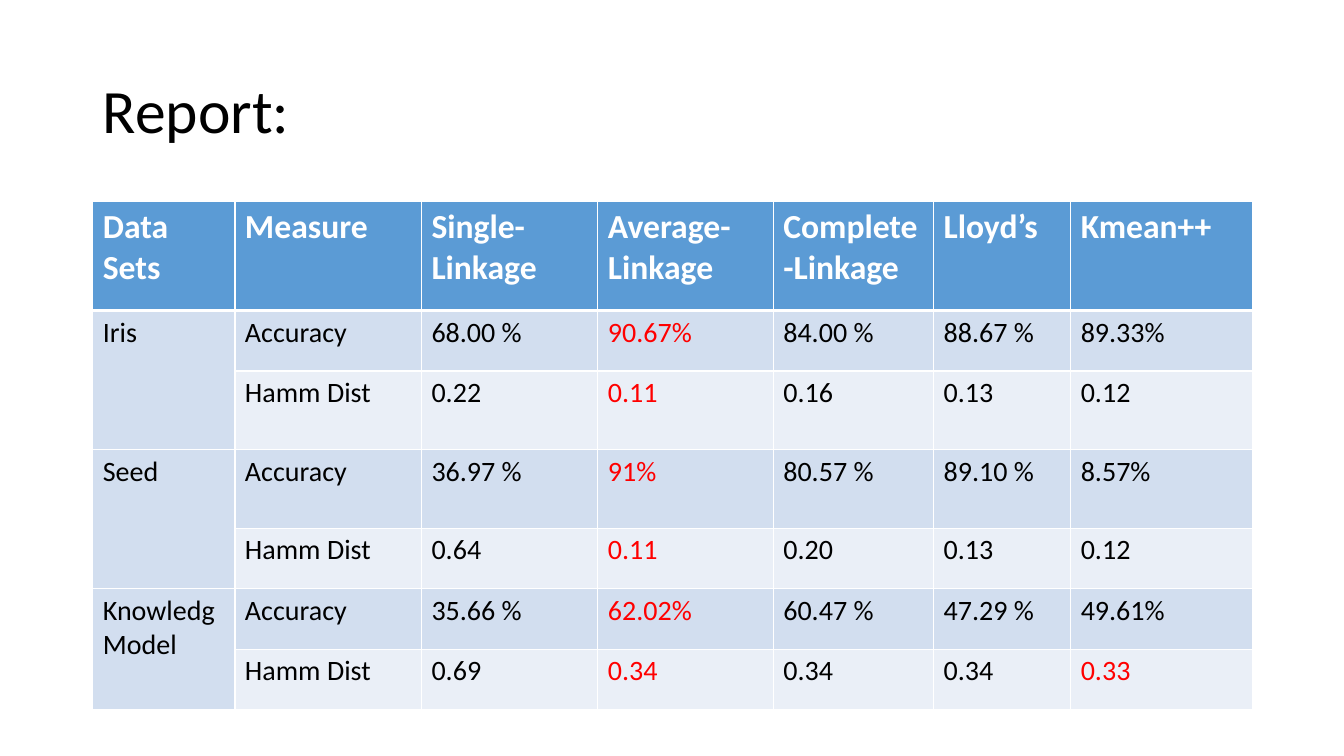
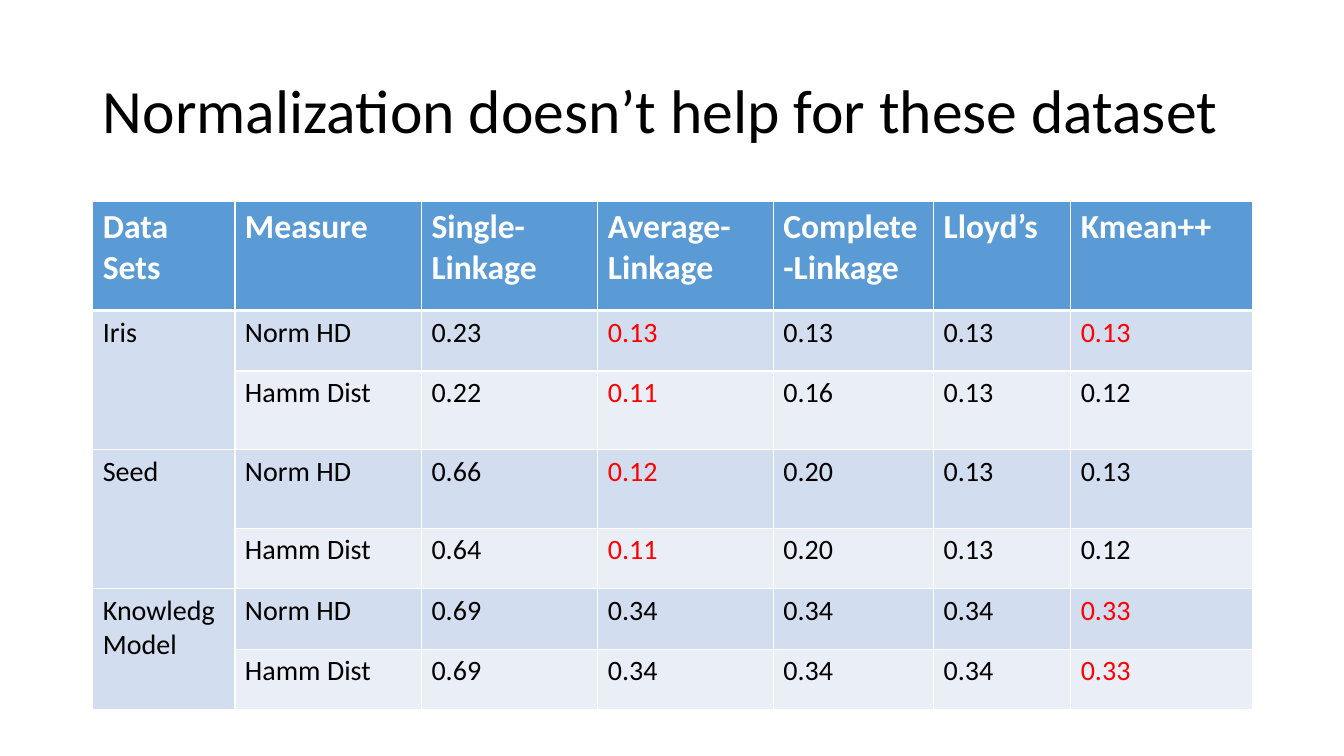
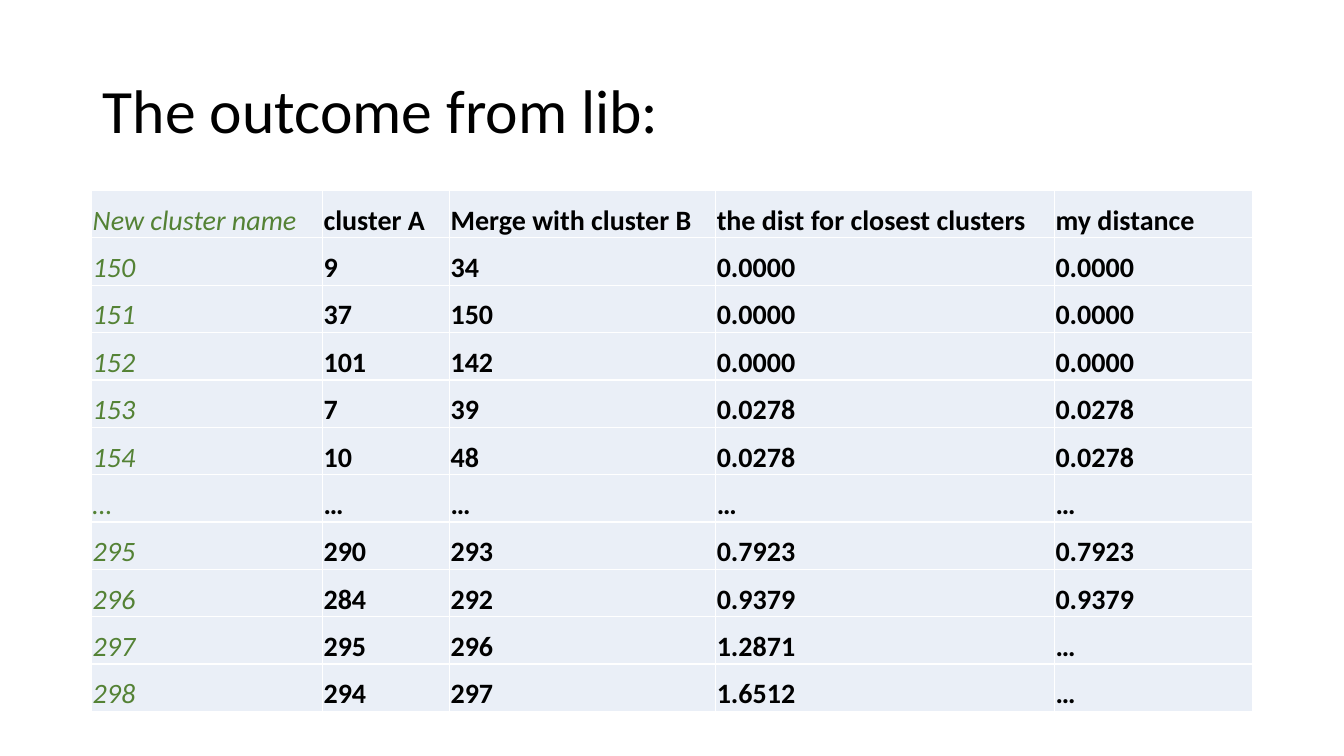
from dataclasses import dataclass

from lxml.etree import SubElement
from pptx import Presentation
from pptx.dml.color import RGBColor
from pptx.enum.text import MSO_ANCHOR as Anchor, MSO_AUTO_SIZE as AutoSize, PP_ALIGN as Align
from pptx.oxml.ns import qn
from pptx.util import Inches, Pt


@dataclass(frozen=True)
class Theme:
    font: str = "Calibri"
    title_size: int = 44
    header_size: int = 24
    body_size: int = 20
    black: str = "000000"
    white: str = "FFFFFF"
    best: str = "FF0000"
    index: str = "548235"
    header_fill: str = "5B9BD5"
    dark_band: str = "D2DEEF"
    light_band: str = "EAEFF7"


THEME = Theme()

# Content: each measure row is (name, values, columns of the best values)
METHODS = ["Data Sets", "Measure", "Single-Linkage", "Average-Linkage",
           "Complete-Linkage", "Lloyd’s", "Kmean++"]
DATA_SETS = ["Iris", "Seed", "Knowledg\nModel"]
HAMMING = [
    ("Hamm Dist", ["0.22", "0.11", "0.16", "0.13", "0.12"], {1}),
    ("Hamm Dist", ["0.64", "0.11", "0.20", "0.13", "0.12"], {1}),
    ("Hamm Dist", ["0.69", "0.34", "0.34", "0.34", "0.33"], {1, 4}),
]
ACCURACY = [
    ("Accuracy", ["68.00 %", "90.67%", "84.00 %", "88.67 %", "89.33%"], {1}),
    ("Accuracy", ["36.97 %", "91%", "80.57 %", "89.10 %", "8.57%"], {1}),
    ("Accuracy", ["35.66 %", "62.02%", "60.47 %", "47.29 %", "49.61%"], {1}),
]
NORMALIZED = [
    ("Norm HD", ["0.23", "0.13", "0.13", "0.13", "0.13"], {1, 4}),
    ("Norm HD", ["0.66", "0.12", "0.20", "0.13", "0.13"], {1}),
    ("Norm HD", ["0.69", "0.34", "0.34", "0.34", "0.33"], {4}),
]
HAMMING_BESIDE_NORM = HAMMING[:2] + [(*HAMMING[2][:2], {4})]
REPORTS = [
    ("Report:", ACCURACY, HAMMING),
    ("Normalization doesn’t help for these dataset", NORMALIZED, HAMMING_BESIDE_NORM),
]
MERGE_TITLE = "The outcome from lib:"
MERGES = [
    ("New cluster name", "cluster A", "Merge with cluster B",
     "the dist for closest clusters", "my distance"),
    ("150", "9", "34", "0.0000", "0.0000"),
    ("151", "37", "150", "0.0000", "0.0000"),
    ("152", "101", "142", "0.0000", "0.0000"),
    ("153", "7", "39", "0.0278", "0.0278"),
    ("154", "10", "48", "0.0278", "0.0278"),
    ("…", "…", "…", "…", "…"),
    ("295", "290", "293", "0.7923", "0.7923"),
    ("296", "284", "292", "0.9379", "0.9379"),
    ("297", "295", "296", "1.2871", "…"),
    ("298", "294", "297", "1.6512", "…"),
]

# Table sizes in inches
REPORT_COLUMNS = [1.41, 1.85, 1.75, 1.74, 1.59, 1.36, 1.8]
REPORT_ROWS = [1.08, 0.6, 0.78, 0.78, 0.6, 0.6, 0.6]
MERGE_COLUMNS = [2.29, 1.26, 2.64, 3.36, 1.96]
MERGE_ROWS = [0.47] * len(MERGES)


def write_text(frame, text, size=THEME.body_size, color=THEME.black, bold=False,
               italic=False, spacing=1.0):
    """Fill a text frame, one paragraph for each line of the text."""
    frame.text = text
    for para in frame.paragraphs:
        para.alignment = Align.LEFT
        para.line_spacing = spacing
        for span in para.runs:
            font = span.font
            font.name, font.size = THEME.font, Pt(size)
            font.bold, font.italic = bold, italic
            font.color.rgb = RGBColor.from_string(color)


def add_page(deck, title):
    page = deck.slides.add_slide(deck.slide_layouts[5])
    box = page.shapes.title
    box.left, box.top, box.width, box.height = map(Inches, (0.92, 0.4, 11.5, 1.45))
    frame = box.text_frame
    frame.word_wrap, frame.auto_size = True, AutoSize.NONE
    frame.vertical_anchor = Anchor.MIDDLE
    write_text(frame, title, size=THEME.title_size, spacing=0.9)
    return page


def add_grid(page, left, top, columns, rows):
    table = page.shapes.add_table(
        len(rows), len(columns), Inches(left), Inches(top),
        Inches(sum(columns)), Inches(sum(rows))).table
    table.first_row = table.horz_banding = False
    for column, width in zip(table.columns, columns):
        column.width = Inches(width)
    for row, height in zip(table.rows, rows):
        row.height = Inches(height)
    return table


def style_cell(cell, fill, top=1, bottom=1):
    """Give a cell white borders (widths in points) and a solid fill."""
    properties = cell._tc.get_or_add_tcPr()
    for side, width in (("L", 1), ("R", 1), ("T", top), ("B", bottom)):
        line = SubElement(properties, qn(f"a:ln{side}"), w=str(Pt(width)))
        solid = SubElement(line, qn("a:solidFill"))
        SubElement(solid, qn("a:srgbClr"), val=THEME.white)
    cell.fill.solid()
    cell.fill.fore_color.rgb = RGBColor.from_string(fill)


def add_report(deck, title, upper_rows, lower_rows):
    table = add_grid(add_page(deck, title), 0.92, 2, REPORT_COLUMNS, REPORT_ROWS)

    # Header
    for column, method in enumerate(METHODS):
        cell = table.cell(0, column)
        style_cell(cell, THEME.header_fill, bottom=3)
        write_text(cell.text_frame, method, size=THEME.header_size,
                   color=THEME.white, bold=True)

    # Two measures for each data set
    for group, pair in enumerate(zip(upper_rows, lower_rows)):
        first = 1 + 2 * group
        for offset, (measure, values, best) in enumerate(pair):
            row = first + offset
            band = (THEME.dark_band, THEME.light_band)[offset]
            style_cell(table.cell(row, 0), THEME.dark_band, top=3 if row == 1 else 1)
            for column, text in enumerate([measure, *values], start=1):
                cell = table.cell(row, column)
                style_cell(cell, band, top=3 if row == 1 else 1)
                color = THEME.best if column - 2 in best else THEME.black
                write_text(cell.text_frame, text, color=color)
        name_cell = table.cell(first, 0)
        name_cell.merge(table.cell(first + 1, 0))
        write_text(name_cell.text_frame, DATA_SETS[group])


def add_merges(deck):
    table = add_grid(add_page(deck, MERGE_TITLE), 0.91, 1.89, MERGE_COLUMNS, MERGE_ROWS)
    for row, values in enumerate(MERGES):
        for column, text in enumerate(values):
            cell = table.cell(row, column)
            style_cell(cell, THEME.light_band)
            cell.vertical_anchor = Anchor.BOTTOM
            cell.margin_left = cell.margin_top = cell.margin_right = Inches(0.01)
            cell.margin_bottom = 0
            is_index = column == 0
            write_text(cell.text_frame, text, bold=not is_index, italic=is_index,
                       color=THEME.index if is_index else THEME.black)


def main():
    deck = Presentation()
    deck.slide_width, deck.slide_height = Inches(13.33), Inches(7.5)
    for report in REPORTS:
        add_report(deck, *report)
    add_merges(deck)
    deck.save("out.pptx")


if __name__ == "__main__":
    main()
